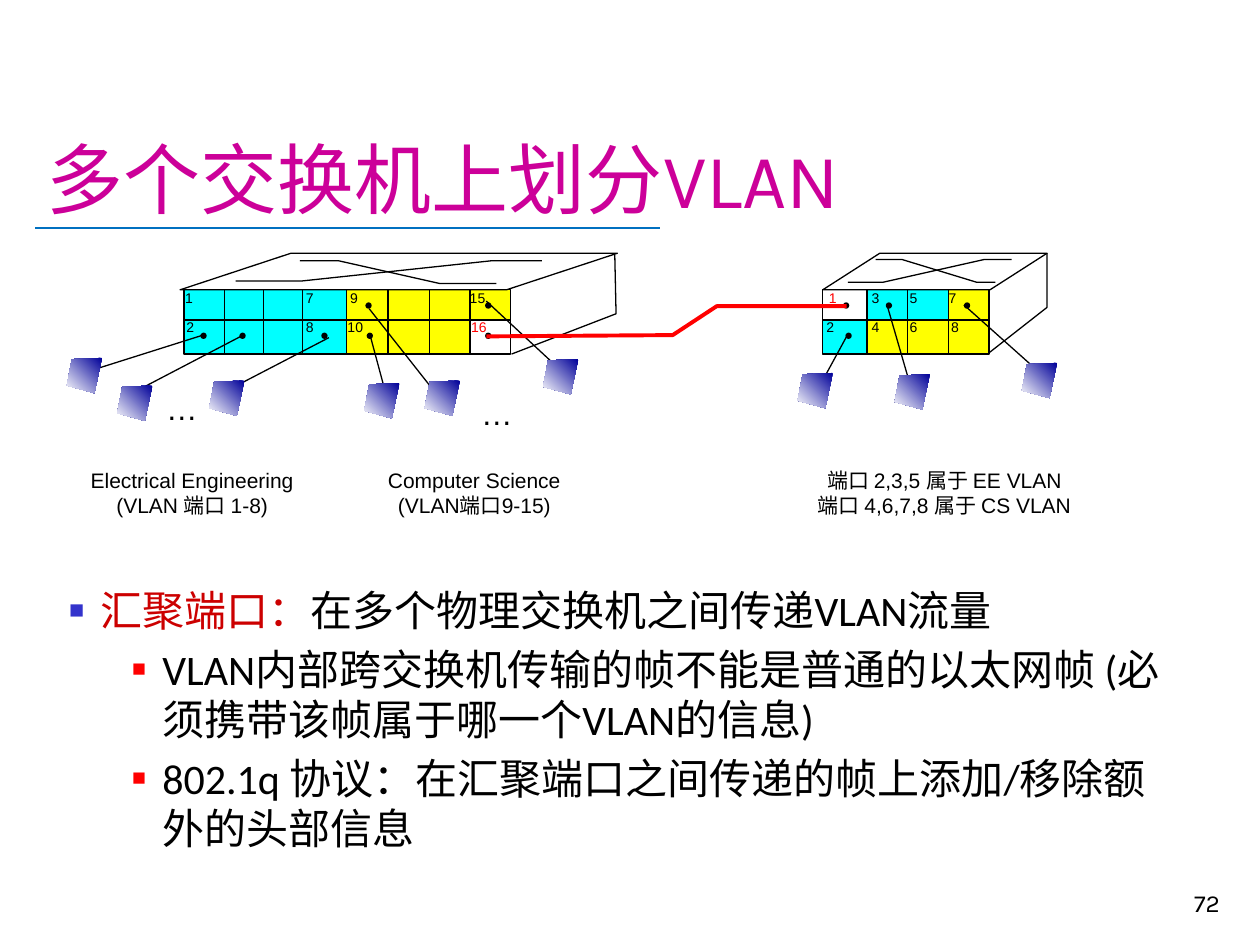
import dataclasses

import lxml.etree
import pptx
import pptx.dml.color
import pptx.enum.shapes
import pptx.enum.text
import pptx.oxml.ns
import pptx.util

Inches = pptx.util.Inches
Shape = pptx.enum.shapes.MSO_SHAPE
Align = pptx.enum.text.PP_ALIGN
Anchor = pptx.enum.text.MSO_ANCHOR
Fit = pptx.enum.text.MSO_AUTO_SIZE


@dataclasses.dataclass(frozen=True)
class Theme:
    black: str = "000000"
    white: str = "FFFFFF"
    red: str = "FF0000"
    cyan: str = "00FFFF"
    yellow: str = "FFFF00"
    navy: str = "000099"
    rule: str = "0070C0"
    title: str = "CC0099"
    term: str = "CC0000"
    bullet: str = "3333CC"
    head: str = "Karla"
    body: str = "Calibri"
    label: str = "Arial"
    title_size: int = 44
    body_size: int = 24
    dots_size: int = 18
    page_size: int = 14
    note_size: int = 12
    port_size: int = 8
    thin: float = 0.75


THEME = Theme()


def rgb(value):
    return pptx.dml.color.RGBColor.from_string(value)


def style(para, face, size, color=THEME.black):
    para.font.name = face
    para.font.size = pptx.util.Pt(size)
    para.font.color.rgb = rgb(color)


def outline(shape, color, width):
    shape.line.color.rgb = rgb(color)
    shape.line.width = pptx.util.Pt(width)


def line(slide, x1, y1, x2, y2, color=THEME.black, width=THEME.thin):
    item = slide.shapes.add_connector(
        pptx.enum.shapes.MSO_CONNECTOR.STRAIGHT,
        Inches(x1), Inches(y1), Inches(x2), Inches(y2))
    outline(item, color, width)
    lxml.etree.SubElement(item._element.spPr, pptx.oxml.ns.qn("a:effectLst"))


def block(slide, kind, x, y, w, h, fill=None, edge=None):
    item = slide.shapes.add_shape(kind, Inches(x), Inches(y), Inches(w), Inches(h))
    item.shadow.inherit = False
    if fill:
        item.fill.solid()
        item.fill.fore_color.rgb = rgb(fill)
    else:
        item.fill.background()
    if edge:
        outline(item, edge, THEME.thin)
    else:
        item.line.fill.background()
    return item


def trace(slide, points, closed=False):
    spots = [(Inches(x), Inches(y)) for x, y in points]
    pen = slide.shapes.build_freeform(*spots[0], scale=1.0)
    pen.add_line_segments(spots[1:], close=closed)
    item = pen.convert_to_shape()
    item.shadow.inherit = False
    return item


def path(slide, points, color=THEME.black, width=THEME.thin):
    item = trace(slide, points)
    item.fill.background()
    outline(item, color, width)


def host(slide, x, y):
    corners = [(0.28, 0), (0.04, 0.01), (0, 0.22), (0.22, 0.28)]
    item = trace(slide, [(x + dx, y + dy) for dx, dy in corners], True)
    item.line.fill.background()
    item.fill.gradient()
    item.fill.gradient_angle = 225
    for stop, color, place in zip(item.fill.gradient_stops,
                                  (THEME.navy, THEME.white), (0, 1)):
        stop.color.rgb = rgb(color)
        stop.position = place


def text(slide, lines, x, y, w, h, size, face=THEME.label, color=THEME.black,
         align=Align.LEFT, wrap=False):
    box = slide.shapes.add_textbox(Inches(x), Inches(y), Inches(w), Inches(h))
    frame = box.text_frame
    frame.word_wrap = wrap
    frame.auto_size = Fit.NONE if wrap else Fit.SHAPE_TO_FIT_TEXT
    frame.text = "\n".join(lines)
    for para in frame.paragraphs:
        para.alignment = align
        style(para, face, size, color)
    return frame


def port(slide, name, x, y):
    color = THEME.red if name in ("16", "1 ") else THEME.black
    text(slide, [name.strip()], x, y, 0.2 + 0.065 * len(name.strip()), 0.23,
         THEME.port_size, color=color)


def dot(slide, x, y):
    block(slide, Shape.OVAL, x, y, 0.05, 0.05, THEME.black)


def switch(slide, banks, edges, top, skew, strokes, side):
    """Draw a box with coloured port banks, dividers, a lid and a side."""
    left, right = edges[0], edges[-1]
    for fill, first, last, y, h in banks:
        block(slide, Shape.RECTANGLE, edges[first], y, edges[last] - edges[first], h, fill)
    block(slide, Shape.RECTANGLE, left, 2.3, right - left, 0.51, edge=THEME.black)
    line(slide, left, 2.54, right, 2.54)
    for x in edges[1:-1]:
        line(slide, x, 2.3, x, 2.81)
    lid = block(slide, Shape.PARALLELOGRAM, *top, THEME.white, THEME.black)
    lid.adjustments[0] = skew
    for points in strokes + [side]:
        path(slide, points)


def bullet(para, color, size, margin, hang):
    props = para._p.get_or_add_pPr()
    props.set("marL", str(Inches(margin)))
    props.set("indent", str(Inches(-hang)))
    qn = pptx.oxml.ns.qn
    tint = lxml.etree.SubElement(props, qn("a:buClr"))
    lxml.etree.SubElement(tint, qn("a:srgbClr")).set("val", color)
    lxml.etree.SubElement(props, qn("a:buSzPct")).set("val", str(size * 1000))
    lxml.etree.SubElement(props, qn("a:buFont")).set("typeface", THEME.label)
    lxml.etree.SubElement(props, qn("a:buChar")).set("char", "■")


def points(slide):
    frame = text(slide, [
        "",
        "VLAN内部跨交换机传输的帧不能是普通的以太网帧 (必须携带该帧属于哪一个VLAN的信息)",
        "802.1q 协议：在汇聚端口之间传递的帧上添加/移除额外的头部信息",
    ], 0.45, 4.59, 9.07, 2.94, THEME.body_size, THEME.body, wrap=True)
    first, *rest = frame.paragraphs
    for para in frame.paragraphs:
        para._p.remove(para._p.get_or_add_pPr())
    bullet(first, THEME.bullet, 60, 0.25, 0.25)
    term = first.add_run()
    term.text = "汇聚端口："
    term.font.color.rgb = rgb(THEME.term)
    first.add_run().text = "在多个物理交换机之间传递VLAN流量"
    for para in rest:
        para.level = 1
        bullet(para, THEME.red, 55, 0.74, 0.24)
        para.space_before = pptx.util.Pt(4.8)
    for para in frame.paragraphs:
        style(para, THEME.body, THEME.body_size)


def heading(slide):
    title = slide.shapes.title
    title.left, title.top = Inches(0.27), Inches(0.23)
    title.width, title.height = Inches(9.51), Inches(1.6)
    frame = title.text_frame
    frame.text = "多个交换机上划分VLAN"
    frame.vertical_anchor = Anchor.BOTTOM
    frame.auto_size = Fit.NONE
    frame.paragraphs[0].alignment = Align.LEFT
    style(frame.paragraphs[0], THEME.head, THEME.title_size, THEME.title)
    line(slide, 0.28, 1.81, 5.24, 1.81, THEME.rule, 1.25)


def main():
    deck = pptx.Presentation()
    deck.slide_width, deck.slide_height = Inches(10), Inches(7.5)
    slide = deck.slides.add_slide(deck.slide_layouts[5])
    heading(slide)
    page = text(slide, ["72"], 7.7, 6.83, 2.08, 0.5, THEME.page_size, THEME.head,
                align=Align.RIGHT, wrap=True)
    page.vertical_anchor = Anchor.BOTTOM
    points(slide)

    cyan, yellow = THEME.cyan, THEME.yellow
    switch(slide, [(cyan, 0, 4, 2.3, 0.51), (yellow, 4, 7, 2.3, 0.51),
                   (yellow, 7, 8, 2.3, 0.24)],
           [1.46, 1.78, 2.09, 2.4, 2.75, 3.08, 3.41, 3.73, 4.05],
           (1.43, 2.01, 3.47, 0.29), 3.03,
           [[(1.87, 2.23), (2.4, 2.23), (3.9, 2.07), (4.3, 2.07)],
            [(2.38, 2.07), (2.69, 2.07), (3.49, 2.25), (3.94, 2.25)]],
           [(4.06, 2.81), (4.89, 2.49), (4.88, 2.02)])
    switch(slide, [(cyan, 1, 3, 2.3, 0.24), (yellow, 3, 4, 2.3, 0.24),
                   (cyan, 0, 1, 2.54, 0.27), (yellow, 1, 4, 2.54, 0.27)],
           [6.53, 6.88, 7.2, 7.53, 7.85],
           (6.53, 2.01, 1.78, 0.29), 1.56,
           [[(6.73, 2.24), (7.01, 2.24), (7.81, 2.06), (8.03, 2.06)],
            [(6.95, 2.06), (7.16, 2.06), (7.75, 2.24), (7.9, 2.24)]],
           [(8.31, 2.01), (8.31, 2.44), (7.85, 2.8)])

    wires = [(1.61, 2.66, 0.63, 2.97), (1.93, 2.66, 1.05, 3.12),
             (2.61, 2.68, 1.84, 3.08), (2.94, 2.67, 3.05, 3.08),
             (2.93, 2.45, 3.45, 3.11), (3.86, 2.39, 4.43, 2.92),
             (6.72, 2.67, 6.54, 3), (7.04, 2.42, 7.24, 3.11),
             (7.65, 2.42, 8.21, 2.92)]
    for wire in wires:
        line(slide, *wire)
    rows = {2.4: [2.9, 3.85, 6.69, 7.03, 7.65],
            2.64: [1.59, 1.9, 2.55, 2.91, 3.85, 6.71]}
    for y, row in rows.items():
        for x in row:
            dot(slide, x, y)
    # "1 " is the trunk port of the second switch
    names = {2.25: [("1", 1.37), ("7", 2.33), ("9", 2.68), ("15", 3.63),
                    ("1 ", 6.48), ("3", 6.82), ("5", 7.12), ("7", 7.43)],
             2.48: [("2", 1.38), ("8", 2.33), ("10", 2.66), ("16", 3.64),
                    ("2", 6.46), ("4", 6.82), ("6", 7.12), ("8", 7.45)]}
    for y, row in names.items():
        for name, x in row:
            port(slide, name, x, y)

    path(slide, [(3.86, 2.67), (5.34, 2.66), (5.69, 2.43), (6.72, 2.43)], THEME.red, 2.25)
    for x, y in [(0.53, 2.84), (0.93, 3.06), (1.66, 3.02), (2.89, 3.04), (3.37, 3.02),
                 (4.31, 2.85), (6.33, 2.96), (7.1, 2.97), (8.11, 2.88)]:
        host(slide, x, y)
    for x, y in [(1.22, 3.04), (3.72, 3.08)]:
        text(slide, ["…"], x, y, 0.45, 0.4, THEME.dots_size)
    notes = [(0.62, 1.81, "Electrical Engineering", "(VLAN 端口 1-8)"),
             (2.98, 1.57, "Computer Science", "(VLAN端口9-15)"),
             (6.37, 2.25, "端口 2,3,5 属于 EE VLAN", "端口 4,6,7,8 属于 CS VLAN")]
    for x, w, *lines in notes:
        text(slide, lines, x, 3.66, w, 0.5, THEME.note_size, align=Align.CENTER, wrap=True)
    deck.save("out.pptx")


if __name__ == "__main__":
    main()
